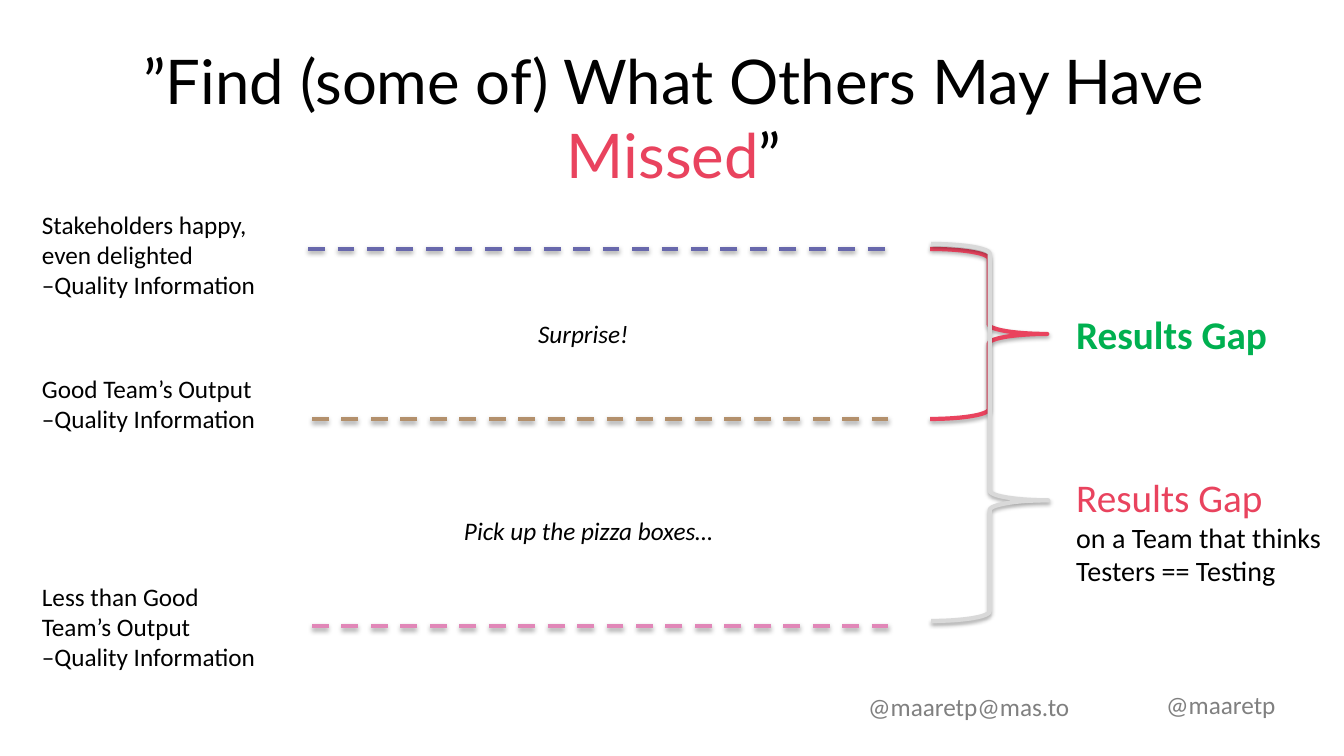
import pptx
import pptx.util
import pptx.dml.color
import pptx.enum.dml
import pptx.enum.shapes
import pptx.enum.text
import pptx.oxml
import pptx.oxml.ns

RGB = pptx.dml.color.RGBColor
BLACK = RGB(0x00, 0x00, 0x00)
GRAY = RGB(0x80, 0x80, 0x80)
SILVER = RGB(0xD9, 0xD9, 0xD9)
ROSE = RGB(0xE9, 0x43, 0x5E)
GREEN = RGB(0x00, 0xB0, 0x50)
BLUE = RGB(0x68, 0x68, 0xAC)
TAN = RGB(0xB3, 0x90, 0x6C)
PINK = RGB(0xE1, 0x87, 0xB8)

SCALE = 914400 / 100.8
SHADOW = (
    f'<a:effectLst {pptx.oxml.ns.nsdecls("a")}>'
    '<a:outerShdw blurRad="40000" dist="23000" dir="5400000" rotWithShape="0">'
    '<a:srgbClr val="000000"><a:alpha val="35000"/></a:srgbClr>'
    '</a:outerShdw></a:effectLst>'
)


def px(*nums):
    return [pptx.util.Emu(round(n * SCALE)) for n in nums]


def style(run, size, color, face="Calibri", bold=False, slant=False):
    font = run.font
    font.size = pptx.util.Pt(size)
    font.color.rgb = color
    font.name = face
    font.bold = bold
    font.italic = slant


def add_box(slide, box, text, wrap=False):
    frame = slide.shapes.add_textbox(*px(*box)).text_frame
    frame.text = text
    frame.word_wrap = wrap
    frame.auto_size = pptx.enum.text.MSO_AUTO_SIZE.SHAPE_TO_FIT_TEXT
    return frame


def add_label(slide, box, text, size=18, color=BLACK, **looks):
    frame = add_box(slide, box, text)
    for para in frame.paragraphs:
        for run in para.runs:
            style(run, size, color, **looks)
    return frame


def add_title(slide):
    frame = add_box(slide, (20, 38, 1308, 85),
                    "”Find (some of) What Others May Have ", wrap=True)
    para = frame.paragraphs[0]
    para.alignment = pptx.enum.text.PP_ALIGN.CENTER
    for word in ("Missed", "”"):
        para.add_run().text = word
    for run, color in zip(para.runs, (BLACK, ROSE, BLACK)):
        style(run, 44, color, face="Lato")


def draw_line(shape, color):
    """Give a shape a 3 pt coloured line and a soft shadow below."""
    shape.line.color.rgb = color
    shape.line.width = pptx.util.Pt(3)
    shape.element.spPr.append(pptx.oxml.parse_xml(SHADOW))


def add_level(slide, left, y, color):
    kind = pptx.enum.shapes.MSO_CONNECTOR.STRAIGHT
    line = slide.shapes.add_connector(kind, *px(left, y, left + 583, y))
    line.line.dash_style = pptx.enum.dml.MSO_LINE.DASH
    draw_line(line, color)


def add_brace(slide, box, color, tip=0.5):
    kind = pptx.enum.shapes.MSO_SHAPE.RIGHT_BRACE
    brace = slide.shapes.add_shape(kind, *px(*box))
    brace.adjustments[0] = 0.083
    brace.adjustments[1] = tip
    brace.fill.background()
    draw_line(brace, color)


def main():
    deck = pptx.Presentation()
    deck.slide_width = pptx.util.Inches(13.33)
    deck.slide_height = pptx.util.Inches(7.5)
    slide = deck.slides.add_slide(deck.slide_layouts[6])

    add_label(slide, (1156, 684, 137, 40), "@maaretp", color=GRAY)
    add_label(slide, (858, 686, 231, 40), "@maaretp@mas.to", color=GRAY)

    levels = [
        (308, 249, BLUE, 204, 102, "Stakeholders happy, \veven delighted"),
        (312, 419, TAN, 368, 72, "Good Team’s Output"),
        (312, 626, PINK, 576, 102, "Less than Good \vTeam’s Output"),
    ]
    for left, y, color, top, height, name in levels:
        add_level(slide, left, y, color)
        add_label(slide, (32, top, 236, height),
                  name + "\n–Quality Information")

    add_label(slide, (1066, 305, 240, 57), "Results Gap", 28, GREEN, bold=True)
    add_brace(slide, (930, 249, 117, 170), ROSE)
    add_label(slide, (528, 313, 111, 40), "Surprise!", slant=True)

    add_brace(slide, (931, 244, 117, 377), SILVER, tip=0.68)
    gap = add_label(slide, (1066, 468, 271, 126),
                    "Results Gap\von a Team that thinks\nTesters == Testing", 20)
    style(gap.paragraphs[0].runs[0], 28, ROSE)
    add_label(slide, (454, 510, 279, 40), "Pick up the pizza boxes…", slant=True)

    add_title(slide)
    deck.save("out.pptx")


if __name__ == "__main__":
    main()
